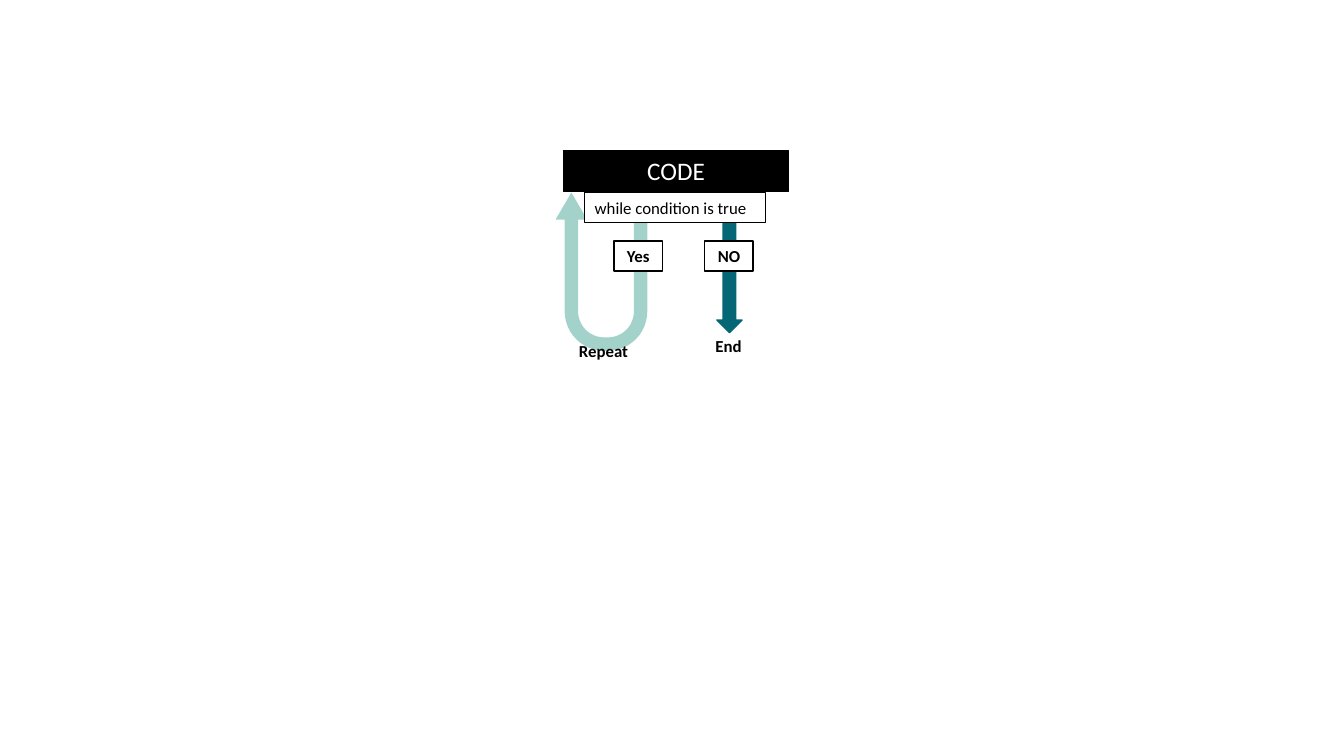
from pptx import Presentation
from pptx.dml.color import RGBColor
from pptx.enum.shapes import MSO_SHAPE
from pptx.enum.text import MSO_ANCHOR, MSO_AUTO_SIZE, PP_ALIGN
from pptx.util import Inches, Pt

RECTANGLE, DOWN_ARROW, U_TURN_ARROW = (
    MSO_SHAPE.RECTANGLE, MSO_SHAPE.DOWN_ARROW, MSO_SHAPE.U_TURN_ARROW)
LEFT, CENTER = PP_ALIGN.LEFT, PP_ALIGN.CENTER
TOP, MIDDLE = MSO_ANCHOR.TOP, MSO_ANCHOR.MIDDLE
FIXED, GROW = MSO_AUTO_SIZE.NONE, MSO_AUTO_SIZE.SHAPE_TO_FIT_TEXT

THEME = {
    "font": "Calibri", "title_size": 18, "label_size": 12, "line_width": 1,
    "black": "000000", "white": "FFFFFF", "repeat": "A3D2CA", "end": "056676",
}

# Content: text and box (left, top, width, height) in inches
CODE = ("CODE", (5.59, 1.49, 2.23, 0.41))
CONDITION = ("while condition is true", (5.8, 1.91, 1.79, 0.3))
ANSWERS = [("Yes", (6.09, 2.39, 0.48, 0.3)), ("NO", (6.99, 2.39, 0.48, 0.3))]
OUTCOMES = [("Repeat", (5.64, 3.33, 0.69, 0.3)), ("End", (6.88, 3.28, 0.69, 0.3))]
END_ARROW = (7.11, 2.21, 0.25, 1.09)
REPEAT_ARROW = (5.51, 1.91, 0.91, 1.57)
REPEAT_BENDS = (0.146, 0.172, 0.295, 0.43, 1)


def color(name):
    return RGBColor.from_string(THEME[name])


def add_shape(kind, box, fill, line=None):
    shape = slide.shapes.add_shape(kind, *map(Inches, box))
    shape.shadow.inherit = False
    shape.fill.solid()
    shape.fill.fore_color.rgb = color(fill)
    if line:
        shape.line.color.rgb = color(line)
        shape.line.width = Pt(THEME["line_width"])
    else:
        shape.line.fill.background()
    return shape


def write(shape, text, size="label_size", ink="black", bold=True,
          align=CENTER, anchor=TOP, auto_size=GROW):
    frame = shape.text_frame
    frame_format = {"word_wrap": True, "vertical_anchor": anchor, "auto_size": auto_size}
    for name, value in frame_format.items():
        setattr(frame, name, value)
    paragraph = frame.paragraphs[0]
    paragraph.alignment = align
    run = paragraph.add_run()
    run.text = text
    font_format = {"name": THEME["font"], "size": Pt(THEME[size]), "bold": bold}
    for name, value in font_format.items():
        setattr(run.font, name, value)
    run.font.color.rgb = color(ink)


presentation = Presentation()
presentation.slide_width, presentation.slide_height = Inches(13.33), Inches(7.5)
slide = presentation.slides.add_slide(presentation.slide_layouts[6])

# Way out of the loop, then the code block
add_shape(DOWN_ARROW, END_ARROW, "end", "end")
text, box = CODE
write(add_shape(RECTANGLE, box, "black", "black"), text, size="title_size",
      ink="white", bold=False, anchor=MIDDLE, auto_size=FIXED)

# Way back to the code block
repeat_arrow = add_shape(U_TURN_ARROW, REPEAT_ARROW, "repeat")
repeat_arrow.rotation = 180
for index, bend in enumerate(REPEAT_BENDS):
    repeat_arrow.adjustments[index] = bend

# Condition and its two answers
text, box = CONDITION
write(add_shape(RECTANGLE, box, "white", "black"), text, bold=False, align=LEFT)
for text, box in ANSWERS:
    write(add_shape(RECTANGLE, box, "white", "black"), text)

# Outcome labels
for text, box in OUTCOMES:
    write(slide.shapes.add_textbox(*map(Inches, box)), text)

presentation.save("out.pptx")
